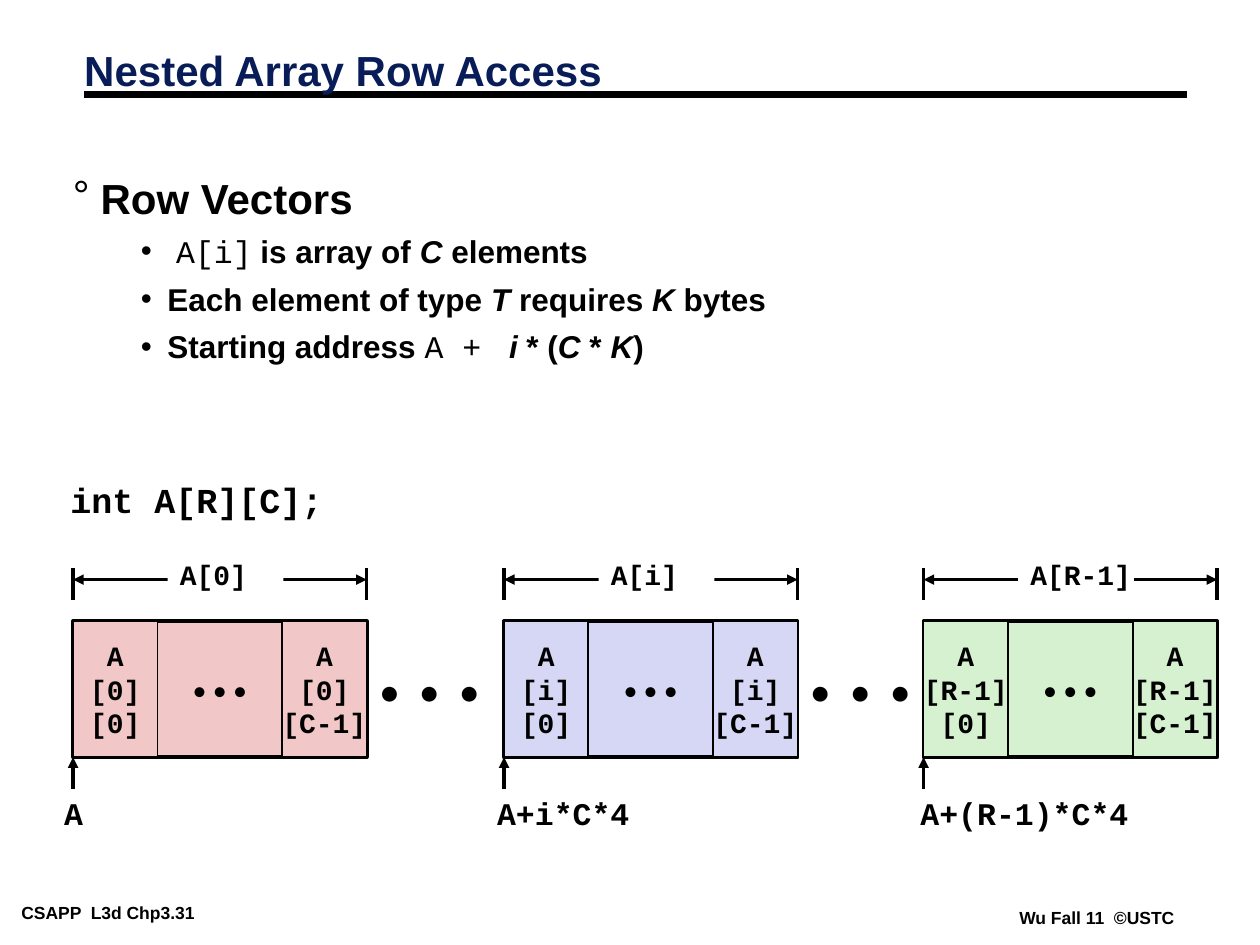
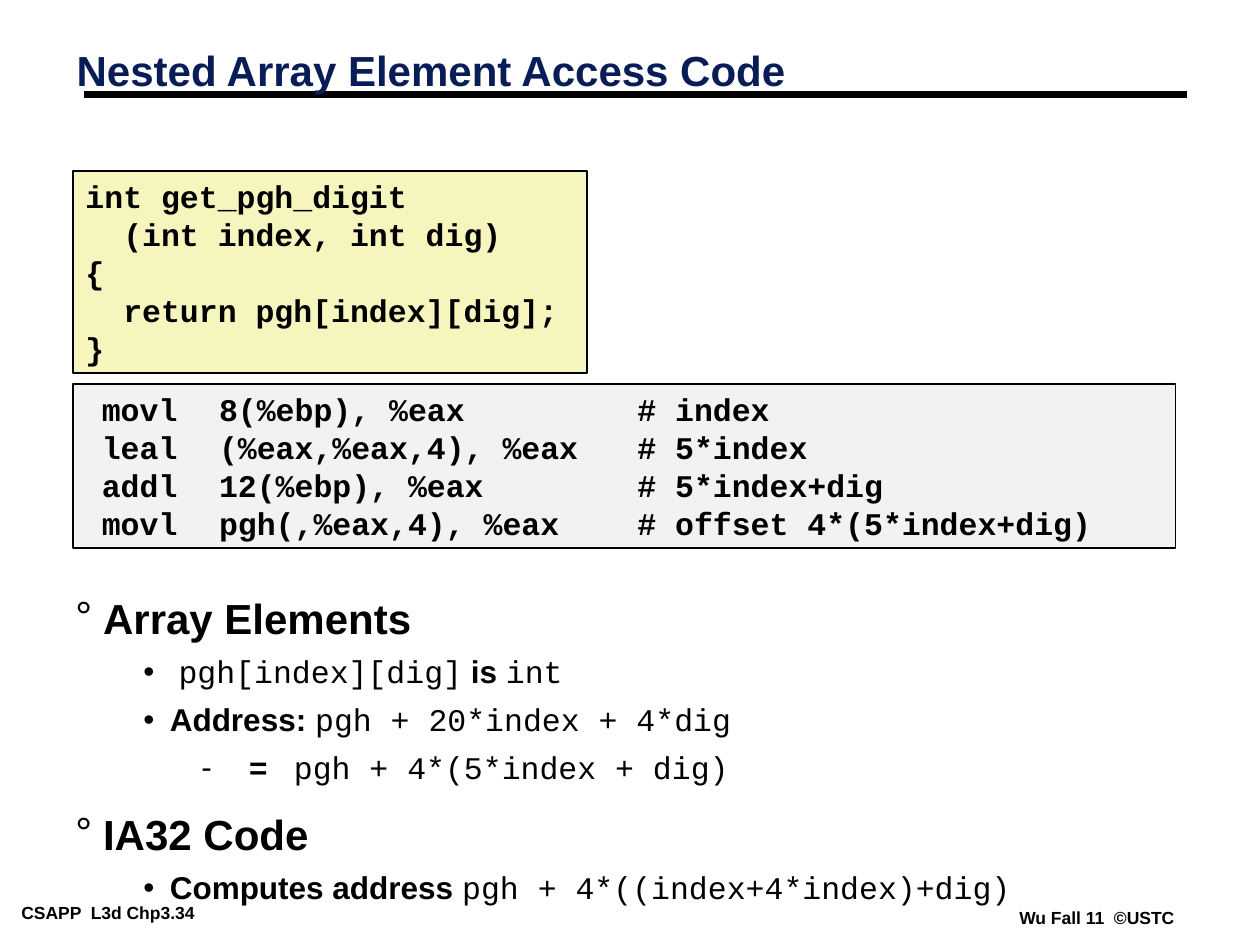
from lxml import etree
from pptx import Presentation
from pptx import util as u
from pptx.dml.color import RGBColor
from pptx.enum import shapes, text
from pptx.oxml.ns import qn

INK, NAVY, WHITE = "000000", "081D58", "FFFFFF"
SANS, MONO, ROUND = "Arial", "Courier New", "Calibri"
LEFT, MID = text.PP_ALIGN.LEFT, text.PP_ALIGN.CENTER

FOOT = dict(size=10, ins=(0.07, 0.03), wrap=False)
HEAD = dict(size=24, ink=NAVY, lead=0.87, anchor=text.MSO_ANCHOR.MIDDLE)
CODE = dict(size=18, face=MONO)
CELL = dict(size=16, face=MONO, align=MID, wrap=False, anchor=text.MSO_ANCHOR.MIDDLE)
TAG = {**CELL, "align": LEFT}
DOTS = {**CELL, "face": ROUND, "bold": False}
GAP = {**DOTS, "size": 24, "align": LEFT}

STYLE = {
    "b": dict(name=SANS, bold=True, italic=False),
    "i": dict(name=SANS, bold=True, italic=True),
    "m": dict(name=MONO, bold=False, italic=False),
}
LEVEL = [
    dict(mark="°", left=0.22, hang=0.22, lead=0.75, gap=19.5, size=24),
    dict(mark="•", left=0.75, hang=0.21, lead=0.85, gap=9, size=18),
    dict(mark="-", left=1.38, hang=0.38, lead=0.85, gap=9, size=18),
]

VECTORS = [
    (0, [("Row Vectors", "b")]),
    (1, [(" ", "b"), ("A[i]", "m"), (" is array of ", "b"), ("C", "i"), (" elements", "b")]),
    (1, [("Each element of type ", "b"), ("T ", "i"), ("requires ", "b"), ("K ", "i"),
         ("bytes", "b")]),
    (1, [("Starting address ", "b"), ("A + ", "m"), (" ", "b"), ("i", "i"), (" * (", "b"),
         ("C ", "i"), ("* ", "b"), ("K", "i"), (")", "b")]),
]
ROWS = [
    dict(x=0.58, row="0", fill="F1C7C7", start="A", at=0.37, wide=0.43),
    dict(x=4.0, row="i", fill="D6D6F5", start="A+i*C*4", at=3.68, wide=1.58),
    dict(x=7.33, row="R-1", fill="D5F1CF", start="A+(R-1)*C*4", at=7.17, wide=1.92),
]
SPAN, SIDE, TOP, TALL = 2.33, 0.67, 4.93, 1.08

ELEMENTS = [
    (0, [("Array Elements", "b")]),
    (1, [(" ", "b"), ("pgh[index][dig]", "m"), (" is ", "b"), ("int", "m")]),
    (1, [("Address: ", "b"), ("pgh + 20*index + 4*dig", "m")]),
    (2, [("=   ", "b"), ("pgh + 4*(5*index + dig)", "m")]),
    (0, [("IA32 Code", "b")]),
    (1, [("Computes address ", "b"), ("pgh + 4*((index+4*index)+dig)", "m")]),
]
SOURCE = """int get_pgh_digit
  (int index, int dig)
{
  return pgh[index][dig];
}""".split("\n")
STOPS = [0.13, 1.06, 4.38]
ASM = [
    ("movl", "8(%ebp), %eax", "# index"),
    ("leal", "(%eax,%eax,4), %eax", "# 5*index"),
    ("addl", "12(%ebp), %eax", "# 5*index+dig"),
    ("movl", "pgh(,%eax,4), %eax", "# offset 4*(5*index+dig)"),
]


def tint(code):
    return RGBColor.from_string(code)


def put(item, **vals):
    for key, val in vals.items():
        setattr(item, key, val)


def inch(*nums):
    return [u.Inches(n) for n in nums]


def frame(shape, ins=(0.1, 0.05), wrap=True, anchor=text.MSO_ANCHOR.TOP):
    side, edge = inch(*ins)
    body = shape.text_frame
    put(body, margin_left=side, margin_right=side, margin_top=edge, margin_bottom=edge,
        word_wrap=wrap, vertical_anchor=anchor)
    return body


def paras(body, items):
    for n, item in enumerate(items):
        yield n, body.paragraphs[0] if n == 0 else body.add_paragraph(), item


def write(shape, lines, size, face=SANS, bold=True, ink=INK, align=LEFT, lead=1.0,
          stops=(), **box):
    for n, para, line in paras(frame(shape, **box), lines):
        if stops:
            tabs = etree.SubElement(para._p.get_or_add_pPr(), qn("a:tabLst"))
            for stop in stops:
                etree.SubElement(tabs, qn("a:tab"), pos=str(u.Inches(stop)), algn="l")
        put(para, alignment=align, line_spacing=lead)
        run = para.add_run()
        run.text = line
        put(run.font, name=face, size=u.Pt(size), bold=bold)
        run.font.color.rgb = tint(ink)


def label(slide, at, line, **fmt):
    write(slide.shapes.add_textbox(*inch(*at)), [line], **fmt)


def block(slide, at, lines, fill, edge=None, **fmt):
    rect = slide.shapes.add_shape(shapes.MSO_SHAPE.RECTANGLE, *inch(*at))
    rect.shadow.inherit = False
    rect.fill.solid()
    rect.fill.fore_color.rgb = tint(fill)
    if edge:
        rect.line.color.rgb = tint(INK)
        rect.line.width = u.Pt(edge)
    else:
        rect.line.fill.background()
    write(rect, lines, **fmt)


def rule(slide, ends, width=2, tips=()):
    line = slide.shapes.add_connector(shapes.MSO_CONNECTOR.STRAIGHT, *inch(*ends))
    line.line.color.rgb = tint(INK)
    line.line.width = u.Pt(width)
    for tip in tips:
        etree.SubElement(line.line._get_or_add_ln(), qn("a:" + tip), type="triangle")
    etree.SubElement(line._element.spPr, qn("a:effectLst"))


def outline(slide, at, items):
    body = frame(slide.shapes.add_textbox(*inch(*at)))
    for n, para, (depth, runs) in paras(body, items):
        lev = LEVEL[depth]
        prop = para._p.get_or_add_pPr()
        prop.set("marL", str(u.Inches(lev["left"])))
        prop.set("indent", str(-u.Inches(lev["hang"])))
        hue = etree.SubElement(prop, qn("a:buClr"))
        etree.SubElement(hue, qn("a:srgbClr"), val=INK)
        etree.SubElement(prop, qn("a:buFont"), typeface=SANS)
        etree.SubElement(prop, qn("a:buChar"), char=lev["mark"])
        put(para, level=depth, line_spacing=lev["lead"],
            space_before=u.Pt(lev["gap"] if n else 0))
        for words, kind in runs:
            run = para.add_run()
            run.text = words
            put(run.font, size=u.Pt(lev["size"]), **STYLE[kind])
            run.font.color.rgb = tint(INK)


def page(deck, num, title, left, wide):
    slide = deck.slides.add_slide(deck.slide_layouts[6])
    label(slide, (0.1, 7.13, 2.03, 0.22), f"CSAPP  L3d Chp3.{num}", **FOOT)
    label(slide, (8.02, 7.17, 1.38, 0.22), "Wu Fall 11  ©USTC", **FOOT)
    rule(slide, (0.67, 0.75, 9.42, 0.75), 4.5)
    label(slide, (left, 0.36, wide, 0.45), title, **HEAD)
    return slide


def draw_row(slide, x, row, fill, start, at, wide):
    end = x + SPAN
    block(slide, (x, TOP, SPAN, TALL), ["• • •"], fill, 2.25, **DOTS)
    for left, col in ((x, "0"), (end - SIDE, "C-1")):
        block(slide, (left, TOP, SIDE, TALL), ["A", f"[{row}]", f"[{col}]"], fill, 1, **CELL)
    for edge in (x, end):
        rule(slide, (edge, 4.51, edge, 4.76))
    rule(slide, (x, 4.6, end, 4.6), tips=("headEnd", "tailEnd"))
    block(slide, (x + 0.75, 4.35, 0.92, 0.42), [f"A[{row}]"], WHITE, **TAG)
    rule(slide, (x, TOP + TALL + 0.25, x, TOP + TALL), tips=("tailEnd",))
    label(slide, (at, 6.25, wide, 0.4), start, align=MID, **CODE)


def main():
    deck = Presentation()
    deck.slide_width, deck.slide_height = inch(10, 7.5)

    slide = page(deck, 31, "Nested Array Row Access", 0.57, 7.58)
    outline(slide, (0.48, 1.41, 6.52, 1.59), VECTORS)
    label(slide, (0.46, 3.75, 2.4, 0.44), "int A[R][C];", size=20, face=MONO)
    for item in ROWS[:-1]:
        block(slide, (item["x"] + SPAN, TOP, TALL, TALL), ["•  •  •"], WHITE, **GAP)
    for item in ROWS:
        draw_row(slide, **item)

    slide = page(deck, 34, "Nested Array Element Access Code", 0.51, 9.06)
    outline(slide, (0.5, 4.75, 9.1, 2.7), ELEMENTS)
    block(slide, (0.58, 1.36, 4.08, 1.6), SOURCE, "F6F5BD", 1, **CODE)
    block(slide, (0.58, 3.05, 8.75, 1.3), ["\t" + "\t".join(step) for step in ASM], "F2F2F2", 1,
          stops=STOPS, **CODE)

    deck.save("out.pptx")


if __name__ == "__main__":
    main()
